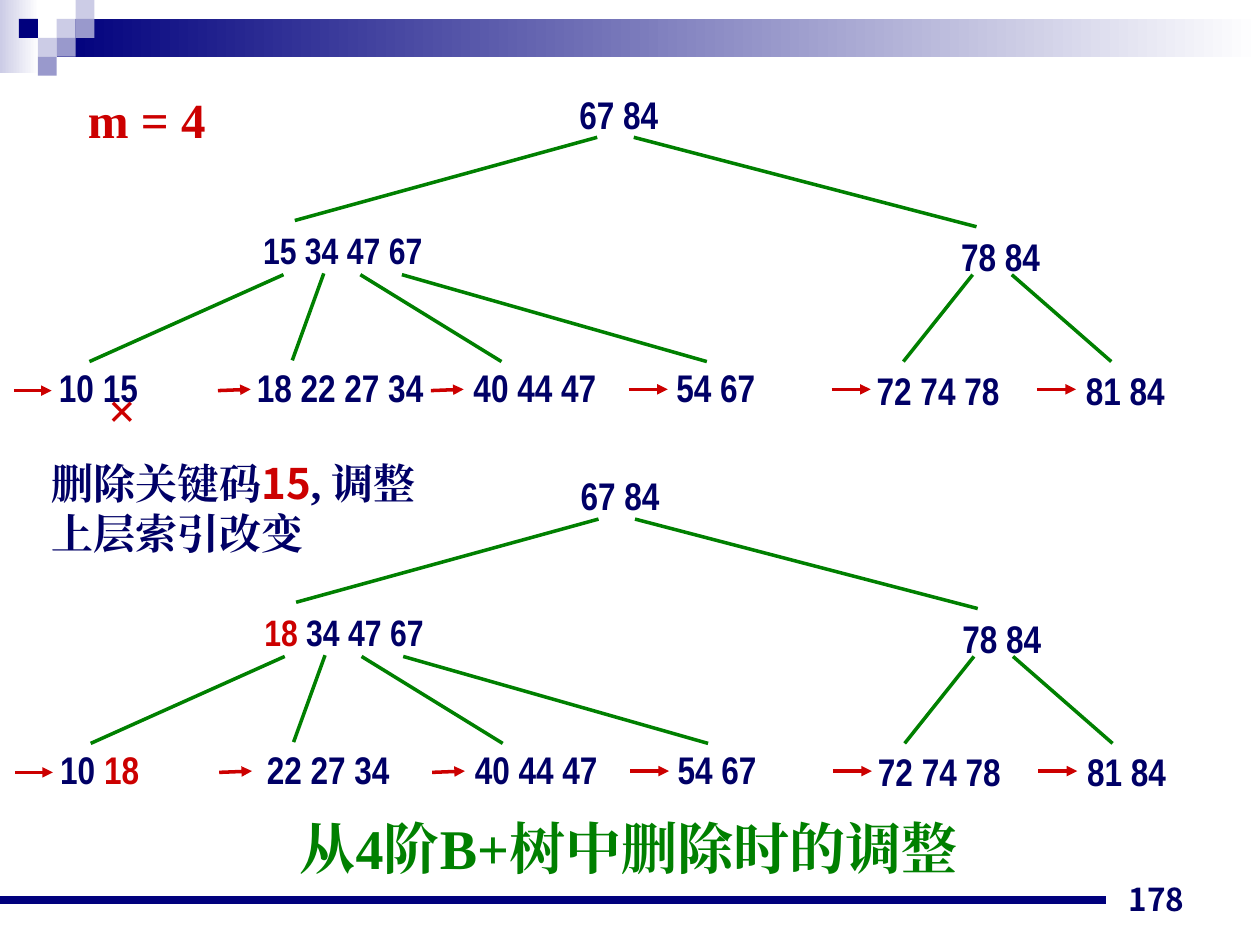
from lxml import etree
from pptx import Presentation
from pptx.dml.color import RGBColor
from pptx.enum.shapes import MSO_CONNECTOR, MSO_SHAPE
from pptx.enum.text import MSO_ANCHOR, PP_ALIGN
from pptx.oxml.ns import qn
from pptx.util import Inches, Pt

RECTANGLE = MSO_SHAPE.RECTANGLE
STRAIGHT = MSO_CONNECTOR.STRAIGHT
JUSTIFY, CENTER, RIGHT = PP_ALIGN.JUSTIFY, PP_ALIGN.CENTER, PP_ALIGN.RIGHT

COLORS = {
    "navy": "00007D", "ink": "000066", "red": "CC0000", "green": "008000",
    "lilac": "CCCCE6", "violet": "9999CC", "white": "FFFFFF",
}
SERIF, NARROW = "Times New Roman", "Arial Narrow"
CJK, CJK_NUMBER = "Noto Sans CJK SC", "Noto Sans CJK JP"

CELL = 0.15
HEADER_CELLS = [  # column, row, colour
    (3, 1, "lilac"), (4, 0, "lilac"), (4, 1, "violet"), (2, 2, "lilac"),
    (1, 1, "navy"), (3, 2, "violet"), (2, 3, "violet"),
]

# Tree geometry, relative to the tree's top left corner
ROOT = (4.39, 0)
INNER_NODES = [(1.88, 1.09, 21), (7.42, 1.13, 22)]  # left, top, text size
LEAVES = [(0.26, 2.17), (1.83, 2.17), (3.55, 2.17),
          (5.16, 2.17), (6.75, 2.19), (8.41, 2.19)]
LEAF_ARROWS = [  # start, end
    ((0, 2.43), (0.3, 2.43)), ((1.62, 2.43), (1.88, 2.42)),
    ((3.31, 2.43), (3.57, 2.42)), ((4.88, 2.42), (5.19, 2.42)),
    ((6.49, 2.42), (6.8, 2.42)), ((8.12, 2.42), (8.43, 2.42)),
]
BRANCHES = [
    ((4.63, 0.42), (2.23, 1.08)), ((4.92, 0.42), (7.64, 1.13)),
    ((2.14, 1.51), (0.6, 2.2)), ((2.46, 1.5), (2.21, 2.19)),
    ((2.75, 1.51), (3.87, 2.2)), ((3.08, 1.51), (5.5, 2.2)),
    ((7.61, 1.51), (7.06, 2.2)), ((7.92, 1.51), (8.71, 2.2)),
]
NODE_SIZE = (1.56, 0.58)


def rgb(name):
    return RGBColor.from_string(COLORS[name])


def add_block(slide, box, color, fade=False):
    """Add a borderless rectangle, optionally fading to white on the right."""
    block = slide.shapes.add_shape(RECTANGLE, *map(Inches, box))
    block.shadow.inherit = False
    block.line.fill.background()
    if fade:
        block.fill.gradient()
        block.fill.gradient_angle = 0
        for stop, name in zip(block.fill.gradient_stops, (color, "white")):
            stop.color.rgb = rgb(name)
    else:
        block.fill.solid()
        block.fill.fore_color.rgb = rgb(color)


def add_line(slide, start, end, color, width=2, arrow=False):
    line = slide.shapes.add_connector(STRAIGHT, *map(Inches, (*start, *end)))
    line.line.color.rgb = rgb(color)
    line.line.width = Pt(width)
    if arrow:
        etree.SubElement(line.line._ln, qn("a:tailEnd"), type="triangle")
    etree.SubElement(line._element.spPr, qn("a:effectLst"))


def add_text(slide, box, paragraphs, size, font=SERIF, align=JUSTIFY):
    """Add bold text; each paragraph lists (text, colour[, font]) runs."""
    frame = slide.shapes.add_textbox(*map(Inches, box)).text_frame
    frame.word_wrap = True
    for index, runs in enumerate(paragraphs):
        paragraph = frame.add_paragraph() if index else frame.paragraphs[0]
        paragraph.alignment = align
        for text, color, *own_font in runs:
            run = paragraph.add_run()
            run.text = text
            face = own_font[0] if own_font else font
            style = {"name": face, "size": Pt(size), "bold": True}
            for attribute, value in style.items():
                setattr(run.font, attribute, value)
            run.font.color.rgb = rgb(color)
            east_asian = etree.SubElement(run._r.get_or_add_rPr(), qn("a:ea"))
            east_asian.set("typeface", face)
    return frame


def add_header(slide, left, top):
    add_block(slide, (left, top, 0.31, 0.58), "lilac", fade=True)
    add_block(slide, (left + 3 * CELL, top + CELL, 9.55, 2 * CELL),
              "navy", fade=True)
    for column, row, color in HEADER_CELLS:
        add_block(slide, (left + column * CELL, top + row * CELL, CELL, CELL),
                  color)


def add_footer(slide, left, top):
    add_line(slide, (left, top + 0.31), (left + 8.78, top + 0.31), "navy", 4.5)
    number = add_text(slide, (left + 7.17, top, 2.33, 0.5),
                      [[("178", "ink")]], 18, CJK_NUMBER, RIGHT)
    number.vertical_anchor = MSO_ANCHOR.BOTTOM


def add_caption(slide, box):
    caption = add_text(slide, box, [[("从4阶B+树中删除时的调整", "green")]],
                       32, align=CENTER).paragraphs[0]
    caption.line_spacing = 1.1
    caption._p.get_or_add_pPr().set("marL", str(Inches(0.28)))


def add_tree(slide, left, top, root, inner_nodes, leaves):
    """Draw a three-level tree; each node is a list of (keys, colour) runs."""
    def place(point):
        return left + point[0], top + point[1]

    def add_node(position, runs, size=22):
        add_text(slide, (*place(position), *NODE_SIZE), [runs], size, NARROW)

    for start, end in LEAF_ARROWS:
        add_line(slide, place(start), place(end), "red", arrow=True)
    for position, runs in zip(LEAVES, leaves):
        add_node(position, runs)
    for (x, y, size), runs in zip(INNER_NODES, inner_nodes):
        add_node((x, y), runs, size)
    add_node(ROOT, root)
    for start, end in BRANCHES:
        add_line(slide, place(start), place(end), "green")


def plain(*nodes):
    return [[(keys, "ink")] for keys in nodes]


def main():
    presentation = Presentation()
    presentation.slide_width = Inches(10)
    presentation.slide_height = Inches(7.5)
    slide = presentation.slides.add_slide(presentation.slide_layouts[6])

    add_header(slide, 0, 0)
    add_footer(slide, 0, 6.83)
    add_caption(slide, (0.35, 6.35, 9, 0.79))
    add_text(slide, (0.6, 0.66, 1.56, 0.96), [[("m = 4", "red")]], 28)

    root = [("67 84", "ink")]
    right_leaves = plain("40 44 47", "54 67", "72 74 78", "81 84")
    add_tree(slide, 0.11, 0.67, root, plain("15 34 47 67", "78 84"),
             plain("10 15", "18 22 27 34") + right_leaves)
    add_text(slide, (0.76, 2.96, 0.65, 0.71), [[("×", "red")]], 28)
    add_text(slide, (0.31, 3.58, 3.3, 0.96), [
        [("删除关键码", "ink"), ("15", "red", CJK), (", 调整", "ink")],
        [("上层索引改变", "ink")],
    ], 24)
    add_tree(slide, 0.12, 3.7, root,
             [[("18", "red"), (" 34 47 67", "ink")], *plain("78 84")],
             [[("10 ", "ink"), ("18", "red")], *plain(" 22 27 34"),
              *right_leaves])

    presentation.save("out.pptx")


if __name__ == "__main__":
    main()
